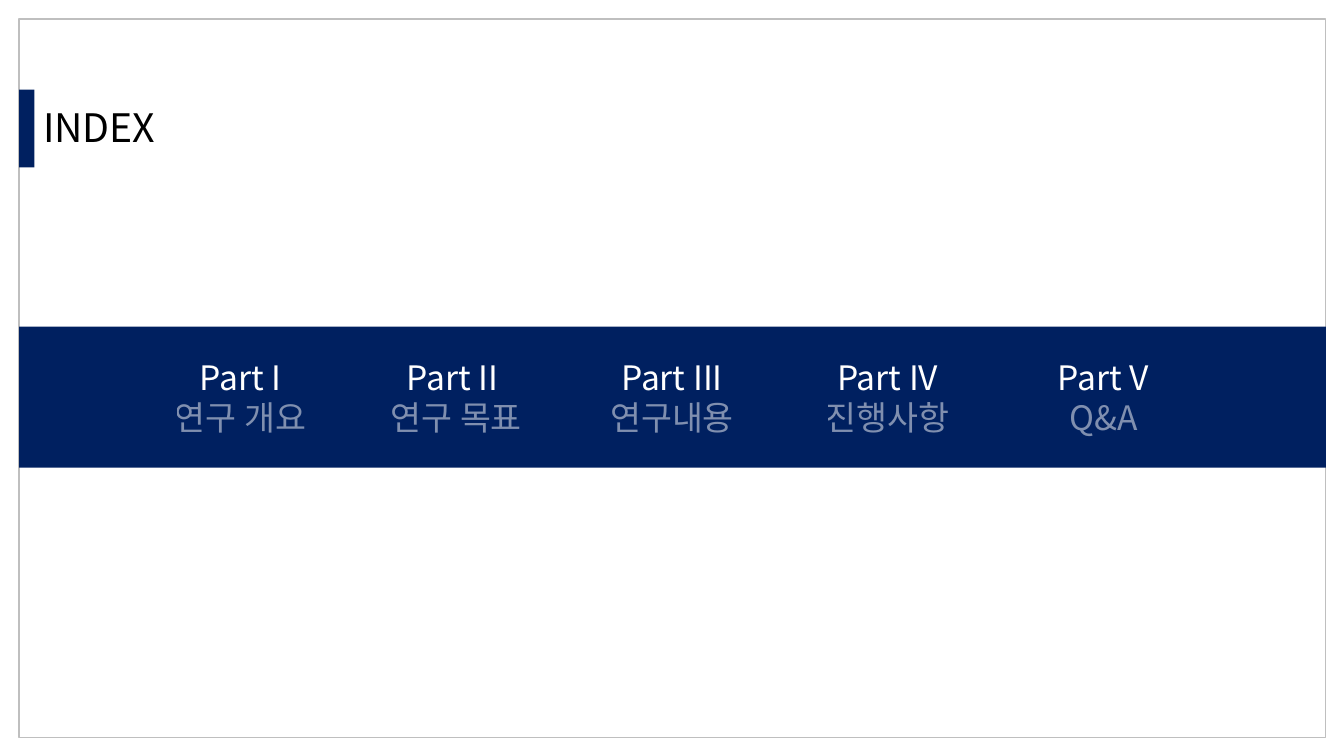
from lxml import etree
from pptx import Presentation
from pptx.dml.color import RGBColor
from pptx.enum.shapes import MSO_SHAPE
from pptx.enum.text import MSO_AUTO_SIZE, PP_ALIGN
from pptx.oxml.ns import qn
from pptx.util import Inches, Pt

RECTANGLE = MSO_SHAPE.RECTANGLE
GROW = MSO_AUTO_SIZE.SHAPE_TO_FIT_TEXT
LEFT = PP_ALIGN.LEFT
CENTER = PP_ALIGN.CENTER

NAVY = RGBColor(0x00, 0x20, 0x60)
GRAY = RGBColor(0xBF, 0xBF, 0xBF)
BLACK = RGBColor(0x00, 0x00, 0x00)
WHITE = RGBColor(0xFF, 0xFF, 0xFF)

FONT = "Noto Sans CJK KR"
MARGIN = 0.19
FRAME_WIDTH = 12.96
PART_LEFT = 1.61
PART_PITCH = 2.14
PARTS = [
    ("Part I", "연구 개요"),
    ("Part II ", "연구 목표"),
    ("Part III", "연구내용"),
    ("Part IV", "진행사항"),
    ("Part V", "Q&A"),
]


def add_rectangle(page, left, top, width, height, fill=None, line=None):
    shape = page.shapes.add_shape(
        RECTANGLE, Inches(left), Inches(top), Inches(width), Inches(height))
    shape.shadow.inherit = False
    if fill is None:
        shape.fill.background()
    else:
        shape.fill.solid()
        shape.fill.fore_color.rgb = fill
    if line is None:
        shape.line.fill.background()
    else:
        shape.line.color.rgb = line
        shape.line.width = Pt(1)


def add_text_box(page, left, top, width, height, wrap):
    box = page.shapes.add_textbox(
        Inches(left), Inches(top), Inches(width), Inches(height))
    box.text_frame.word_wrap = wrap
    box.text_frame.auto_size = GROW
    return box.text_frame


def write_line(para, text, size, color, align):
    para.text = text
    para.alignment = align
    span = para.runs[0]
    span.font.name = FONT
    span.font.size = Pt(size)
    span.font.color.rgb = color
    properties = span.font._element
    east_asian = etree.SubElement(properties, qn("a:ea"))
    east_asian.set("typeface", FONT)
    return span


def set_half_alpha(solid_fill):
    alpha = etree.SubElement(solid_fill[0], qn("a:alpha"))
    alpha.set("val", "50000")


def outline_text(span, color):
    line = etree.Element(qn("a:ln"), w=str(Pt(0.75)))
    solid_fill = etree.SubElement(line, qn("a:solidFill"))
    etree.SubElement(solid_fill, qn("a:srgbClr"), val=str(color))
    set_half_alpha(solid_fill)
    span.font._element.insert(0, line)


def add_title(page):
    frame = add_text_box(page, 0.33, 0.98, 1.37, 0.57, False)
    span = write_line(frame.paragraphs[0], "INDEX", 28, BLACK, LEFT)
    outline_text(span, BLACK)


def add_part(page, left, number, topic):
    frame = add_text_box(page, left, 3.49, 1.55, 0.91, True)
    write_line(frame.paragraphs[0], number, 24, WHITE, CENTER)
    span = write_line(frame.add_paragraph(), topic, 24, WHITE, CENTER)
    set_half_alpha(span.font._element.find(qn("a:solidFill")))
    outline_text(span, WHITE)


def main():
    deck = Presentation()
    deck.slide_width = Inches(13.33)
    deck.slide_height = Inches(7.5)
    page = deck.slides.add_slide(deck.slide_layouts[6])

    add_rectangle(page, MARGIN, MARGIN, FRAME_WIDTH, 7.13, line=GRAY)
    add_rectangle(page, MARGIN, 0.89, 0.15, 0.77, fill=NAVY)
    add_title(page)
    add_rectangle(page, MARGIN, 3.24, FRAME_WIDTH, 1.4, fill=NAVY)
    for index, (number, topic) in enumerate(PARTS):
        add_part(page, PART_LEFT + index * PART_PITCH, number, topic)

    deck.save("out.pptx")


if __name__ == "__main__":
    main()
